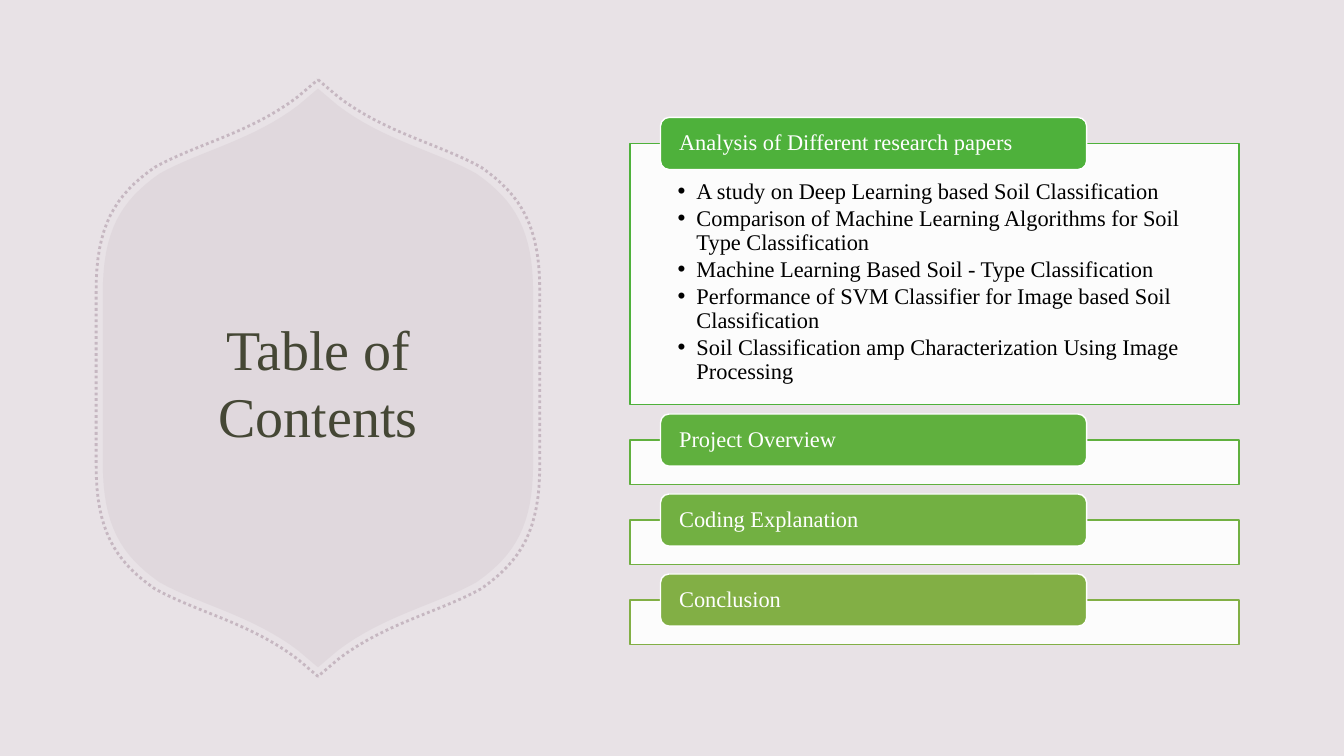
"""Build a table of contents slide with a plaque title and tabbed section panels."""
import pptx
import pptx.util
import pptx.dml.color
import pptx.enum.dml
import pptx.enum.shapes
import pptx.enum.text
import pptx.oxml
import pptx.oxml.ns

COLOURS = {
    "background": "E8E2E6",
    "plaque": "B5A2AF",
    "title": "323820",
    "panel": "FFFFFF",
    "tab text": "FFFFFF",
    "list": "000000",
}
SECTIONS = [
    ("Analysis of Different research papers", "4EB13B", 34.53),
    ("Project Overview", "60B03E", 5.88),
    ("Coding Explanation", "72B042", 5.88),
    ("Conclusion", "82AF45", 5.88),
]
PAPERS = [
    "A study on Deep Learning based Soil Classification",
    "Comparison of Machine Learning Algorithms for Soil Type Classification",
    "Machine Learning Based Soil - Type Classification",
    "Performance of SVM Classifier for Image based Soil Classification",
    "Soil Classification amp Characterization Using Image Processing",
]
PANEL_LEFT, PANEL_WIDTH, PANEL_GAP = 46.88, 45.3, 4.7
FIRST_PANEL_TOP = 18.98
TAB_HEIGHT = 6.89
CURVE_STEPS = 16


def colour(hex_code):
    return pptx.dml.color.RGBColor.from_string(hex_code)


def curve(start, pull, push, end):
    points = []
    for step in range(1, CURVE_STEPS + 1):
        t = step / CURVE_STEPS
        weights = ((1 - t) ** 3, 3 * t * (1 - t) ** 2, 3 * t * t * (1 - t), t ** 3)
        corners = (start, pull, push, end)
        points.append(tuple(sum(w * c[axis] for w, c in zip(weights, corners))
                            for axis in (0, 1)))
    return points


def plaque_outline():
    shoulder, corner, side = (0.2, -2.79), (1.62, -2.09), (2.2, -0.87)
    quarter = [(0, -2.96), shoulder]
    quarter += curve(shoulder, (0.67, -2.43), (1.21, -2.32), corner)
    quarter += curve(corner, (2.02, -1.81), (2.2, -1.5), side)
    right = quarter + [(x, -y) for x, y in reversed(quarter)]
    return right + [(-x, y) for x, y in reversed(right)]


class ContentsSlide:
    font = "Times New Roman"
    text_size = 16

    def __init__(self, deck):
        self.column = deck.slide_width / 100
        self.row = deck.slide_height / 100
        self.slide = deck.slides.add_slide(deck.slide_layouts[1])
        self.slide.background.fill.solid()
        self.slide.background.fill.fore_color.rgb = colour(COLOURS["background"])

    def area(self, left, top, width, height):
        return (round(left * self.column), round(top * self.row),
                round(width * self.column), round(height * self.row))

    def place(self, placeholder, box):
        (placeholder.left, placeholder.top,
         placeholder.width, placeholder.height) = self.area(*box)

    def paint(self, shape, fill=None, line=None, width=1):
        if fill:
            shape.fill.solid()
            shape.fill.fore_color.rgb = colour(fill)
        else:
            shape.fill.background()
        if line:
            shape.line.color.rgb = colour(line)
            shape.line.width = pptx.util.Pt(width)
        else:
            shape.line.fill.background()

    def fade(self, shape, percent, *parents):
        tags = (*parents, "a:solidFill", "a:srgbClr")
        tint = shape.element.spPr.find("/".join(map(pptx.oxml.ns.qn, tags)))
        tint.append(pptx.oxml.parse_xml(
            f'<a:alpha {pptx.oxml.ns.nsdecls("a")} val="{percent * 1000}"/>'))

    def style(self, paragraph, hex_code, size=text_size):
        paragraph.font.name = self.font
        paragraph.font.size = pptx.util.Pt(size)
        paragraph.font.color.rgb = colour(hex_code)

    def pad(self, frame, left, top, bottom):
        frame.word_wrap = True
        frame.auto_size = pptx.enum.text.MSO_AUTO_SIZE.NONE
        frame.margin_left = frame.margin_right = round(left * self.column)
        frame.margin_top = round(top * self.row)
        frame.margin_bottom = round(bottom * self.row)

    def title(self, text, box):
        heading = self.slide.shapes.title
        self.place(heading, box)
        frame = heading.text_frame
        frame.text = text
        self.pad(frame, 0.75, 0.67, 0.67)
        frame.vertical_anchor = pptx.enum.text.MSO_ANCHOR.MIDDLE
        frame.paragraphs[0].alignment = pptx.enum.text.PP_ALIGN.CENTER
        self.style(frame.paragraphs[0], COLOURS["title"], 40)

    def plaque(self, scale, fill=None, line=None):
        middle_x, middle_y = 23.66 * self.column, 50 * self.row
        inch = pptx.util.Inches(1) * scale
        points = [(round(middle_x + x * inch), round(middle_y + y * inch))
                  for x, y in plaque_outline()]
        builder = self.slide.shapes.build_freeform(*points[0])
        builder.add_line_segments(points[1:], close=True)
        outline = builder.convert_to_shape()
        outline.shadow.inherit = False
        self.paint(outline, fill, line, 2)
        if fill:
            self.fade(outline, 15)
        if line:
            outline.line.dash_style = pptx.enum.dml.MSO_LINE.ROUND_DOT
            self.fade(outline, 65, "a:ln")

    def paper_list(self, papers, box, accent):
        body = self.slide.placeholders[1]
        self.place(body, box)
        self.paint(body, COLOURS["panel"], accent)
        self.fade(body, 90)
        frame = body.text_frame
        frame.text = "\n".join(papers)
        self.pad(frame, 3.54, 4.85, 1.6)
        frame.vertical_anchor = pptx.enum.text.MSO_ANCHOR.TOP
        indent = round(1.4 * self.column)
        for paragraph in frame.paragraphs:
            paragraph.line_spacing = 0.9
            paragraph.space_before = pptx.util.Pt(0)
            paragraph.space_after = pptx.util.Pt(2)
            self.style(paragraph, COLOURS["list"])
        for properties in body.element.iter(pptx.oxml.ns.qn("a:pPr")):
            properties.set("marL", str(indent))
            properties.set("indent", str(-indent))

    def panel(self, box, accent):
        panel = self.slide.shapes.add_shape(
            pptx.enum.shapes.MSO_SHAPE.RECTANGLE, *self.area(*box))
        panel.shadow.inherit = False
        self.paint(panel, COLOURS["panel"], accent)
        self.fade(panel, 90)

    def tab(self, text, panel_top, accent):
        box = (PANEL_LEFT + PANEL_WIDTH * 0.05, panel_top - TAB_HEIGHT / 2,
               PANEL_WIDTH * 0.7, TAB_HEIGHT)
        tab = self.slide.shapes.add_shape(
            pptx.enum.shapes.MSO_SHAPE.ROUNDED_RECTANGLE, *self.area(*box))
        tab.shadow.inherit = False
        self.paint(tab, accent, COLOURS["panel"])
        frame = tab.text_frame
        frame.text = text
        self.pad(frame, 1.2, 0, 0)
        frame.vertical_anchor = pptx.enum.text.MSO_ANCHOR.MIDDLE
        label = frame.paragraphs[0]
        label.alignment = pptx.enum.text.PP_ALIGN.LEFT
        label.line_spacing = 0.9
        self.style(label, COLOURS["tab text"])


def main():
    deck = pptx.Presentation()
    deck.slide_width = pptx.util.Inches(13.33)
    deck.slide_height = pptx.util.Inches(7.5)
    contents = ContentsSlide(deck)
    contents.title("Table of Contents", (10.88, 29.47, 25.58, 42))
    top = FIRST_PANEL_TOP
    for number, (heading, accent, height) in enumerate(SECTIONS):
        box = (PANEL_LEFT, top, PANEL_WIDTH, height)
        if number == 0:
            contents.paper_list(PAPERS, box, accent)
        else:
            contents.panel(box, accent)
        contents.tab(heading, top, accent)
        top += height + PANEL_GAP
    contents.plaque(1, line=COLOURS["plaque"])
    contents.plaque(0.97, fill=COLOURS["plaque"])
    deck.save("out.pptx")


if __name__ == "__main__":
    main()
